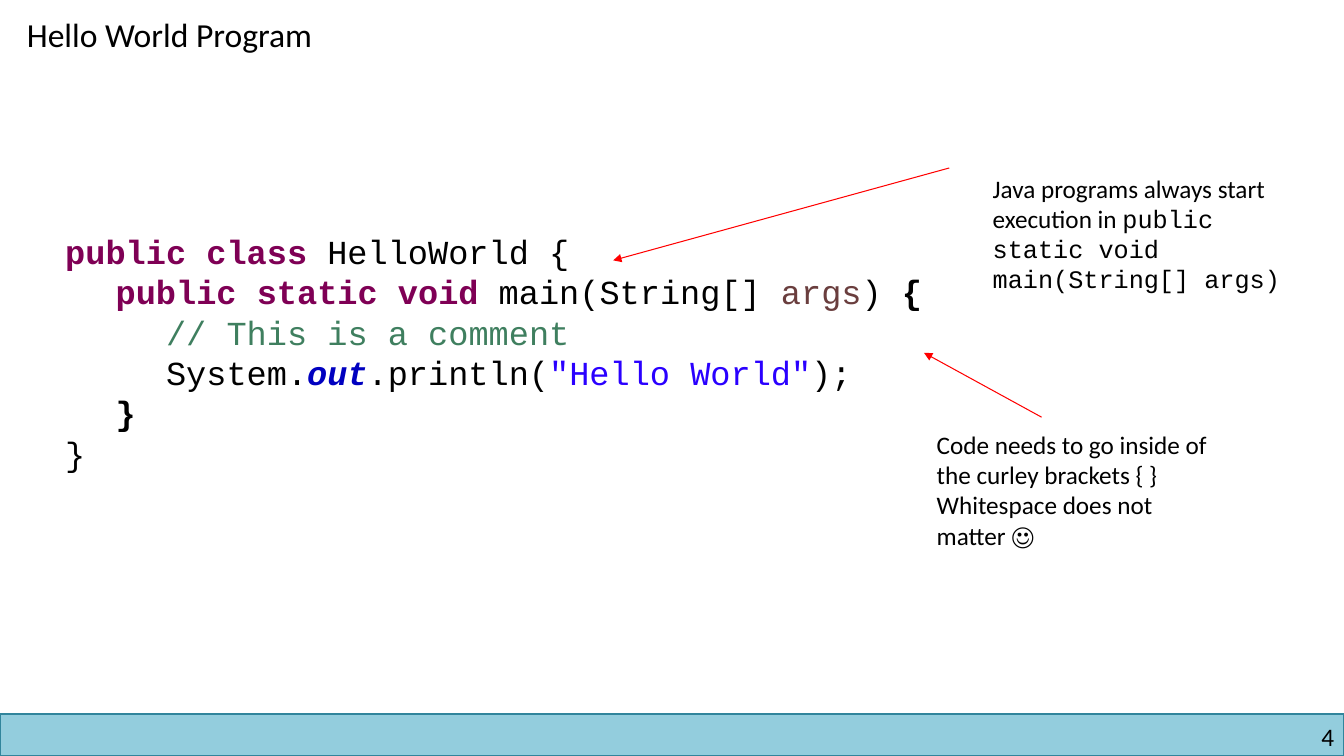
from lxml import etree
from pptx import Presentation
from pptx import util as u
from pptx.dml import color
from pptx.enum import shapes, text
from pptx.oxml import ns

HUES = {
    "ink": "000000", "key": "7F0055", "arg": "6A3E3E", "note": "3F7F5F",
    "field": "0000C0", "quote": "2A00FF", "bar": "93CDDD", "edge": "31859C",
    "arrow": "FF0000",
}
SANS, MONO = "Calibri", "Courier New"


def hue(name):
    return color.RGBColor.from_string(HUES[name])


class Deck:
    """Holds the style and the current slide."""

    def __init__(self, wide, high):
        self.prs = Presentation()
        self.prs.slide_width, self.prs.slide_height = u.Pt(wide), u.Pt(high)
        self.slide = self.prs.slides.add_slide(self.prs.slide_layouts[5])
        self.items = self.slide.shapes

    def typeset(self, frame, lines, size, font, wrap=True, inset=True, align="LEFT"):
        """Fill a frame; each line is a list of (words, format) pairs."""
        frame.word_wrap = wrap
        frame.auto_size = text.MSO_AUTO_SIZE.NONE
        frame.vertical_anchor = text.MSO_ANCHOR.TOP
        if not inset:
            for side in ("left", "top", "right", "bottom"):
                setattr(frame, "margin_" + side, 0)
        for i, line in enumerate(lines):
            para = frame.paragraphs[0] if i == 0 else frame.add_paragraph()
            para.alignment = text.PP_ALIGN[align]
            for words, form in line:
                run = para.add_run()
                run.text = words
                look = {"name": font, "size": u.Pt(size), **form}
                run.font.color.rgb = hue(look.pop("hue", "ink"))
                for key, val in look.items():
                    setattr(run.font, key, val)

    def title(self, box, words, size):
        head = self.items.title
        for key, val in zip(("left", "top", "width", "height"), box):
            setattr(head, key, u.Pt(val))
        self.typeset(head.text_frame, [[(words, {})]], size, SANS, wrap=False)

    def text(self, box, lines, size=18, font=SANS, **opts):
        area = self.items.add_textbox(*map(u.Pt, box))
        self.typeset(area.text_frame, lines, size, font, **opts)

    def bar(self, box):
        rect = self.items.add_shape(shapes.MSO_SHAPE.RECTANGLE, *map(u.Pt, box))
        rect.shadow.inherit = False
        rect.fill.solid()
        rect.fill.fore_color.rgb = hue("bar")
        rect.line.color.rgb = hue("edge")
        rect.line.width = u.Pt(1)

    def arrow(self, start, end):
        link = self.items.add_connector(
            shapes.MSO_CONNECTOR.STRAIGHT, *map(u.Pt, start + end))
        link.line.color.rgb = hue("arrow")
        link.line.width = u.Pt(0.75)
        props = link._element.spPr
        tip = etree.SubElement(props.get_or_add_ln(), ns.qn("a:tailEnd"))
        tip.set("type", "triangle")
        etree.SubElement(props, ns.qn("a:effectLst"))


def main():
    deck = Deck(960, 540)
    bold = {"bold": True}
    key = {"hue": "key", "bold": True}

    # Footer with slide number
    deck.bar((0, 510, 960, 30))
    deck.text((732, 515, 221, 22), [[("4", {})]], inset=False, align="RIGHT")

    # Title
    deck.title((12, 6, 240, 36), "Hello World Program", 24)

    # Code
    deck.text((39.5, 161.5, 732, 181), [
        [("public class", key), (" HelloWorld {", {})],
        [("\tpublic static void", key), (" main(String[] ", {}),
         ("args", {"hue": "arg"}), (") ", {}), ("{", bold)],
        [("\t\t// This is a comment", {"hue": "note"})],
        [("\t\tSystem.", {}),
         ("out", {"hue": "field", "bold": True, "italic": True}),
         (".println(", {}), ('"Hello World"', {"hue": "quote"}), (");", {})],
        [("\t", {}), ("}", bold)],
        [("}", {})],
    ], size=24, font=MONO)

    # Note on the entry point
    deck.arrow((678, 120), (438, 186))
    deck.text((702, 120, 246, 94), [
        [("Java programs always start execution in ", {}),
         ("public static void main(String[] args)", {"name": MONO})],
    ])

    # Note on brackets
    deck.arrow((744, 298), (660, 252))
    deck.text((662, 303, 219, 94), [
        [("Code needs to go inside of the curley brackets { }", {})],
        [("Whitespace does not matter ☺", {})],
    ])

    deck.prs.save("out.pptx")


if __name__ == "__main__":
    main()
